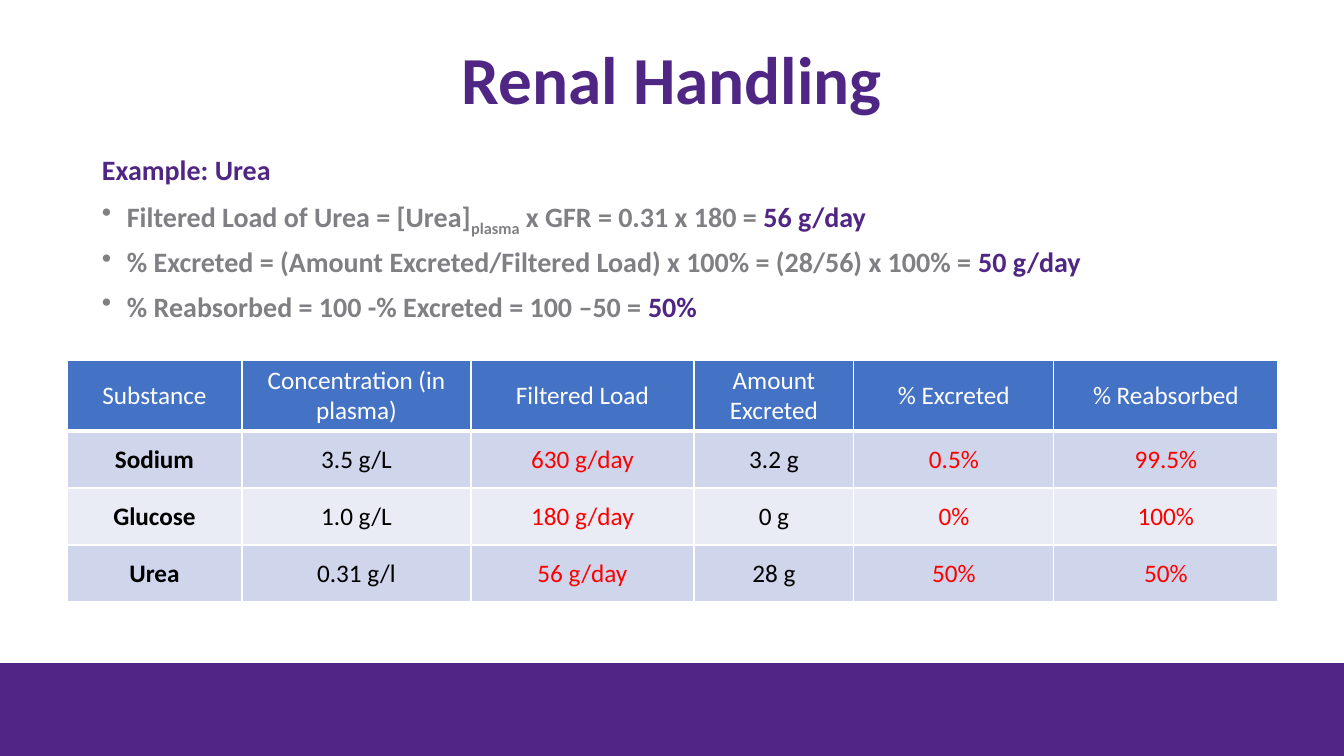
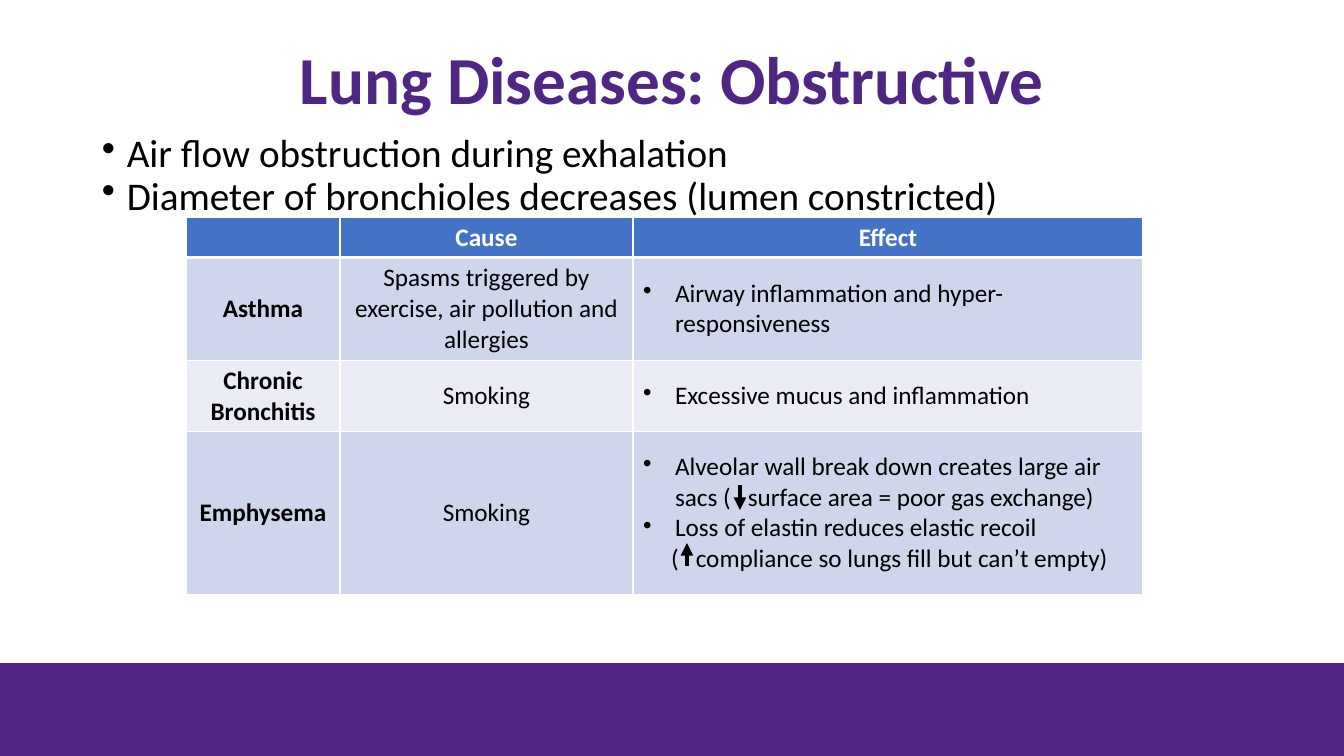
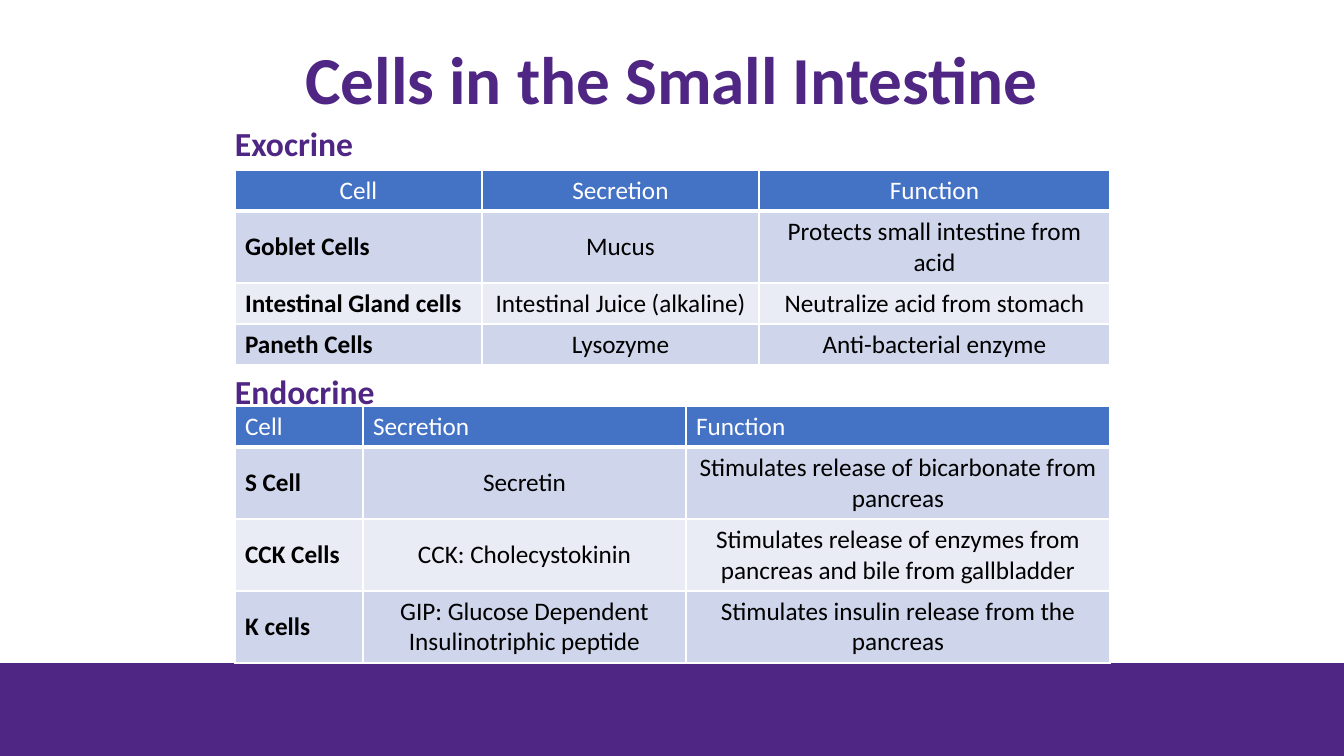
from lxml import etree
from pptx import Presentation
from pptx.dml.color import RGBColor
from pptx.enum.shapes import MSO_CONNECTOR, MSO_SHAPE
from pptx.enum.text import MSO_ANCHOR, MSO_AUTO_SIZE, PP_ALIGN
from pptx.oxml.ns import qn
from pptx.util import Pt

LEFT, CENTER = PP_ALIGN.LEFT, PP_ALIGN.CENTER
MIDDLE = MSO_ANCHOR.MIDDLE
NO_AUTOFIT = MSO_AUTO_SIZE.NONE
RECTANGLE = MSO_SHAPE.RECTANGLE
STRAIGHT = MSO_CONNECTOR.STRAIGHT

WIDTH, HEIGHT = 1344, 756
EMU_PER_PX = 914400 / 100.8
FONT = "Calibri"
COLORS = {
    "purple": "4F2683", "gray": "807F83", "black": "000000", "white": "FFFFFF",
    "red": "FF0000", "header": "4472C4", "odd": "CFD5EA", "even": "E9EBF5",
}
# Run attributes: a subscript, and a bracket followed by room for an arrow
SUBSCRIPT = {"baseline": "-25000"}
ARROW_GAP = {"spc": "1220"}


def px(length):
    return round(length * EMU_PER_PX)


def color(name):
    return RGBColor.from_string(COLORS[name])


class Slides:
    """Holds the shared style and the slide being built."""

    def __init__(self):
        self.deck = Presentation()
        self.deck.slide_width, self.deck.slide_height = px(WIDTH), px(HEIGHT)
        self.page = None

    def new_page(self, title):
        self.page = self.deck.slides.add_slide(self.deck.slide_layouts[5])
        box = self.page.shapes.title
        box.left, box.top, box.width, box.height = map(px, (92, 22, 1160, 121))
        frame = box.text_frame
        frame.auto_size, frame.vertical_anchor = NO_AUTOFIT, MIDDLE
        self.add_spans(frame.paragraphs[0], title, 48, "purple", True, CENTER, spacing=0.9)

    def band(self):
        bar = self.page.shapes.add_shape(RECTANGLE, 0, px(663), px(WIDTH), px(HEIGHT - 663))
        bar.shadow.inherit = False
        bar.fill.solid()
        bar.fill.fore_color.rgb = color("purple")
        bar.line.fill.background()

    def add_spans(self, para, spans, size, ink, bold=False, align=LEFT,
                  indent=0, bullet=False, spacing=None, before=0):
        """Spans are a string, or a list of strings and (text, ink, attributes)."""
        props = para._p.get_or_add_pPr()
        if indent:
            props.set("marL", str(px(indent)))
            props.set("indent", str(-px(indent) if bullet else 0))
        if bullet:
            etree.SubElement(props, qn("a:buChar")).set("char", "•")
        para.alignment = align
        para.space_before = Pt(before)
        if spacing:
            para.line_spacing = spacing
        for item in [spans] if isinstance(spans, str) else spans:
            text, span_ink, attributes = (item, ink, {}) if isinstance(item, str) else item
            span = para.add_run()
            span.text = text
            font = span.font
            font.name, font.size, font.bold = FONT, Pt(size), bold
            font.color.rgb = color(span_ink)
            for key, value in attributes.items():
                span._r.get_or_add_rPr().set(key, value)

    def text(self, left, top, width, height, lines, wrap=True):
        """Each line is its spans and the options of add_spans."""
        box = self.page.shapes.add_textbox(px(left), px(top), px(width), px(height))
        frame = box.text_frame
        frame.word_wrap = wrap
        for number, (spans, options) in enumerate(lines):
            para = frame.add_paragraph() if number else frame.paragraphs[0]
            self.add_spans(para, spans, **options)

    def caption(self, top, width, label):
        style = {"size": 24, "ink": "purple", "bold": True}
        self.text(225, top, width, 50, [(label, style)], wrap=False)

    def borders(self, cell, bottom):
        props = cell._tc.get_or_add_tcPr()
        for side, points in (("L", 1), ("R", 1), ("T", 1), ("B", bottom)):
            line = etree.SubElement(props, qn(f"a:ln{side}"), w=str(Pt(points)))
            fill = etree.SubElement(line, qn("a:solidFill"))
            etree.SubElement(fill, qn("a:srgbClr")).set("val", COLORS["white"])

    def table(self, left, top, widths, heights, rows, header_bold=False,
              header_align=CENTER, label_align=CENTER, red=(), bulleted=()):
        """The first row is the header and the first column holds labels."""
        grid = self.page.shapes.add_table(
            len(rows), len(widths), px(left), px(top),
            px(sum(widths)), px(sum(heights))).table
        for column, width in zip(grid.columns, widths):
            column.width = px(width)
        for r, (height, row) in enumerate(zip(heights, rows)):
            grid.rows[r].height = px(height)
            for c, content in enumerate(row):
                cell = grid.cell(r, c)
                cell.vertical_anchor = MIDDLE
                self.borders(cell, 1 if r else 3)
                cell.fill.solid()
                cell.fill.fore_color.rgb = color(
                    "header" if r == 0 else "odd" if r % 2 else "even")
                if r == 0:
                    style = {"ink": "white", "bold": header_bold, "align": header_align}
                elif c == 0:
                    style = {"ink": "black", "bold": True, "align": label_align}
                elif c in bulleted:
                    style = {"ink": "black", "indent": 32, "bullet": True}
                else:
                    style = {"ink": "red" if c in red else "black", "align": CENTER}
                lines = [(content, {})] if isinstance(content, str) else content
                frame = cell.text_frame
                for number, (spans, changes) in enumerate(lines):
                    if spans:
                        para = frame.add_paragraph() if number else frame.paragraphs[0]
                        self.add_spans(para, spans, 18, **{**style, **changes})

    def arrow(self, x, start, end):
        arrow = self.page.shapes.add_connector(STRAIGHT, px(x), px(start), px(x), px(end))
        arrow.line.color.rgb = color("black")
        arrow.line.width = Pt(3)
        props = arrow._element.spPr
        etree.SubElement(props.find(qn("a:ln")), qn("a:tailEnd")).set("type", "triangle")
        etree.SubElement(props, qn("a:effectLst"))


def renal_handling(slides):
    slides.new_page("Renal Handling")
    heading = {"size": 20, "ink": "purple", "bold": True, "spacing": 0.9}
    point = {**heading, "ink": "gray", "indent": 25, "bullet": True, "before": 10}
    slides.text(92, 151, 1166, 230, [
        ("Example: Urea", heading),
        (["Filtered Load of Urea = [Urea]", ("plasma", "gray", SUBSCRIPT),
          " x GFR = 0.31 x 180 = ", ("56 g/day", "purple", {})], point),
        (["% Excreted = (Amount Excreted/Filtered Load) x 100% = (28/56) x 100% = ",
          ("50 g/day", "purple", {})], point),
        (["% Reabsorbed = 100 -% Excreted = 100 –50 = ", ("50%", "purple", {})], point),
    ])
    slides.band()
    slides.table(67, 360, [175, 229, 223, 160, 200, 224], [71, 57, 57, 57], [
        ["Substance", "Concentration (in plasma)", "Filtered Load",
         "Amount Excreted", "% Excreted", "% Reabsorbed"],
        ["Sodium", "3.5 g/L", "630 g/day", "3.2 g", "0.5%", "99.5%"],
        ["Glucose", "1.0 g/L", "180 g/day", "0 g", "0%", "100%"],
        ["Urea", "0.31 g/l", "56 g/day", "28 g", "50%", "50%"],
    ], red=(2, 4, 5))


def lung_diseases(slides):
    slides.new_page("Lung Diseases: Obstructive")
    point = {"size": 28, "ink": "black", "indent": 25, "bullet": True, "spacing": 0.9}
    slides.text(92, 129, 1160, 487, [
        ("Air flow obstruction during exhalation", point),
        ("Diameter of bronchioles decreases (lumen constricted)", point),
    ])
    slides.band()
    bracket = ("(", "black", ARROW_GAP)
    emphysema_effects = [
        (["Alveolar wall break down creates large air sacs ", bracket,
          "surface area = poor gas exchange)"], {}),
        ("Loss of elastin reduces elastic recoil", {}),
        ([bracket, "compliance so lungs fill but can’t empty)"],
         {"indent": 28, "bullet": False}),
    ]
    slides.table(186, 217, [154, 293, 510], [40, 103, 71, 163], [
        ["", "Cause", "Effect"],
        ["Asthma", "Spasms triggered by exercise, air pollution and allergies",
         "Airway inflammation and hyper-responsiveness"],
        ["Chronic Bronchitis", "Smoking", "Excessive mucus and inflammation"],
        ["Emphysema", "Smoking", emphysema_effects],
    ], header_bold=True, bulleted=(2,))
    # Arrows in the gaps of the last cell: less surface, more compliance
    slides.arrow(740, 485, 510)
    slides.arrow(687, 566, 543)


def intestine_cells(slides):
    slides.new_page("Cells in the Small Intestine")
    slides.band()
    header = ["Cell", "Secretion", "Function"]
    slides.table(235, 170, [247, 277, 351], [41, 72, 41, 41], [
        header,
        ["Goblet Cells", "Mucus", "Protects small intestine from acid"],
        ["Intestinal Gland cells", "Intestinal Juice (alkaline)",
         "Neutralize acid from stomach"],
        ["Paneth Cells", "Lysozyme", "Anti-bacterial enzyme"],
    ], label_align=LEFT)
    slides.table(235, 406, [128, 323, 424], [41, 72, 72, 72], [
        header,
        ["S Cell", "Secretin", "Stimulates release of bicarbonate from pancreas"],
        ["CCK Cells", "CCK: Cholecystokinin",
         "Stimulates release of enzymes from pancreas and bile from gallbladder"],
        ["K cells", "GIP: Glucose Dependent Insulinotriphic peptide",
         "Stimulates insulin release from the pancreas"],
    ], header_align=LEFT, label_align=LEFT)
    slides.caption(118, 140, "Exocrine")
    slides.caption(366, 161, "Endocrine")


def main():
    slides = Slides()
    renal_handling(slides)
    lung_diseases(slides)
    intestine_cells(slides)
    slides.deck.save("out.pptx")


if __name__ == "__main__":
    main()
